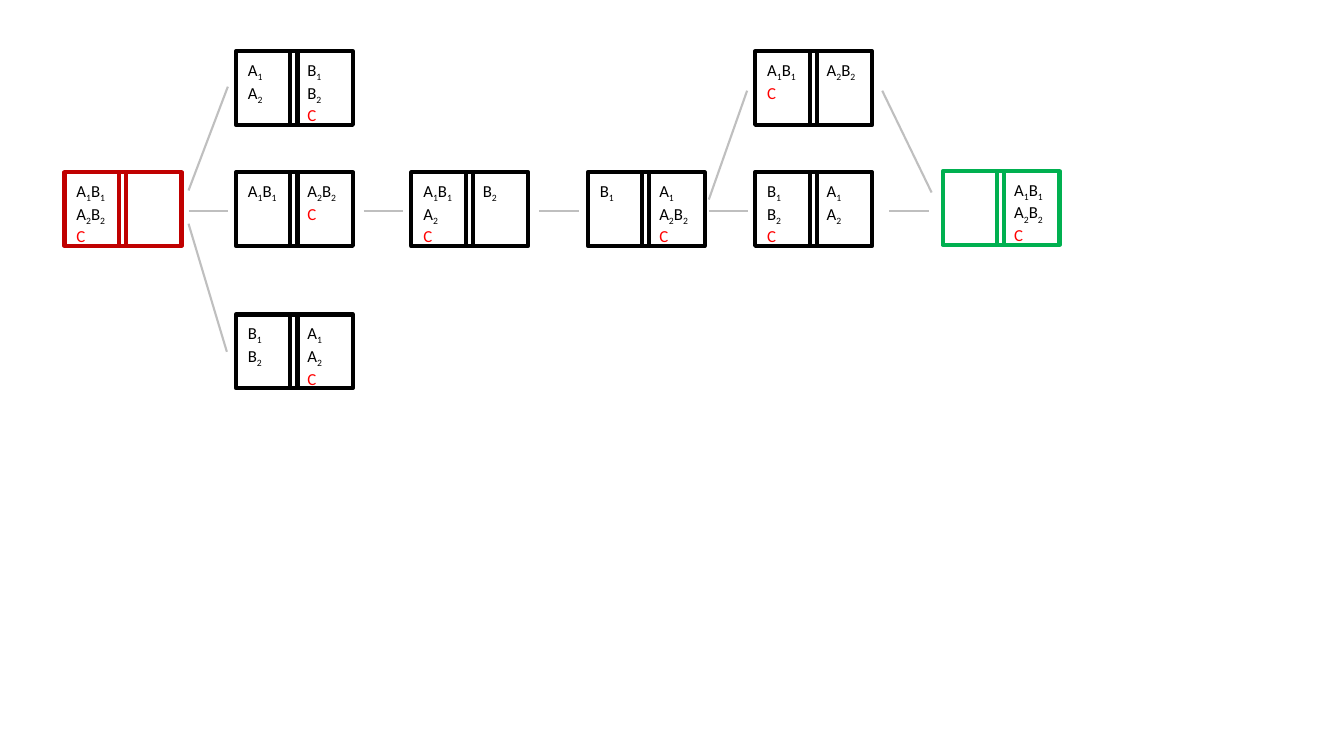
import pptx
import pptx.util
import pptx.dml.color
import pptx.enum.shapes
import pptx.enum.text
from dataclasses import dataclass
from lxml import etree
from pptx.util import Inches


@dataclass(frozen=True)
class Theme:
    font: str = "Calibri"
    size: int = 12
    ink: str = "000000"
    boat: str = "FF0000"
    start: str = "C00000"
    goal: str = "00B050"
    link: str = "BFBFBF"
    edge: float = 3
    thin: float = 1.5


theme = Theme()
WIDE, HIGH = 1.16, 0.73
SPLIT, GAP = 0.54, 0.07


def rgb(code):
    return pptx.dml.color.RGBColor.from_string(code)


def line(slide, start, end, color, width):
    item = slide.shapes.add_connector(
        pptx.enum.shapes.MSO_CONNECTOR.STRAIGHT,
        *[Inches(value) for value in (*start, *end)])
    item.line.color.rgb = rgb(color)
    item.line.width = pptx.util.Pt(width)
    etree.SubElement(item._element.spPr, pptx.oxml.ns.qn("a:effectLst"))


def bank(slide, left, top, label):
    rows = label.split()
    if not rows:
        return
    box = slide.shapes.add_textbox(
        Inches(left), Inches(top), Inches(0.58), Inches(0.1 + 0.2 * len(rows)))
    frame = box.text_frame
    frame.word_wrap = True
    frame.auto_size = pptx.enum.text.MSO_AUTO_SIZE.SHAPE_TO_FIT_TEXT
    for index, row in enumerate(rows):
        para = frame.add_paragraph() if index else frame.paragraphs[0]
        for char in row:
            run = para.add_run()
            run.text = char
            run.font.name = theme.font
            run.font.size = pptx.util.Pt(theme.size)
            run.font.color.rgb = rgb(theme.boat if char == "C" else theme.ink)
            if char.isdigit():
                run._r.get_or_add_rPr().set("baseline", "-25000")


def state(slide, left, top, near, far, color=theme.ink):
    box = slide.shapes.add_shape(
        pptx.enum.shapes.MSO_SHAPE.RECTANGLE,
        Inches(left), Inches(top), Inches(WIDE), Inches(HIGH))
    box.shadow.inherit = False
    box.fill.background()
    box.line.color.rgb = rgb(color)
    box.line.width = pptx.util.Pt(theme.edge)
    for side, drop in ((SPLIT, 0), (SPLIT + GAP, 0.01)):
        line(slide, (left + side, top + drop),
             (left + side, top + drop + HIGH), color, theme.edge)
    bank(slide, left + 0.02, top + 0.03, near)
    bank(slide, left + SPLIT + GAP, top + 0.03, far)


def graph(slide, left, top):
    mid = top + 1.2
    low = top + 2.61
    states = (
        (0, mid, "A1B1 A2B2 C", "", theme.start),
        (1.7, top, "A1 A2", "B1 B2 C"),
        (1.7, mid, "A1B1", "A2B2 C"),
        (1.7, low, "B1 B2", "A1 A2 C"),
        (3.44, mid, "A1B1 A2 C", "B2"),
        (5.19, mid, "B1", "A1 A2B2 C"),
        (6.85, top, "A1B1 C", "A2B2"),
        (6.85, mid, "B1 B2 C", "A1 A2"),
        (8.71, mid - 0.01, "", "A1B1 A2B2 C", theme.goal),
    )
    for across, down, *rest in states:
        state(slide, left + across, down, *rest)

    flat = mid + 0.38
    links = [((across, flat), (across + 0.39, flat))
             for across in (1.23, 2.97, 4.71, 6.39, 8.18)]
    links += [
        ((1.23, top + 1.38), (1.62, top + 0.35)),
        ((1.23, top + 1.71), (1.61, top + 2.98)),
        ((6.39, top + 1.47), (6.77, top + 0.39)),
        ((8.11, top + 0.39), (8.6, top + 1.4)),
    ]
    for start, end in links:
        line(slide, (left + start[0], start[1]), (left + end[0], end[1]),
             theme.link, theme.thin)


deck = pptx.Presentation()
deck.slide_width = Inches(13.33)
deck.slide_height = Inches(7.5)
page = deck.slides.add_slide(deck.slide_layouts[6])
graph(page, 0.64, 0.51)
deck.save("out.pptx")
